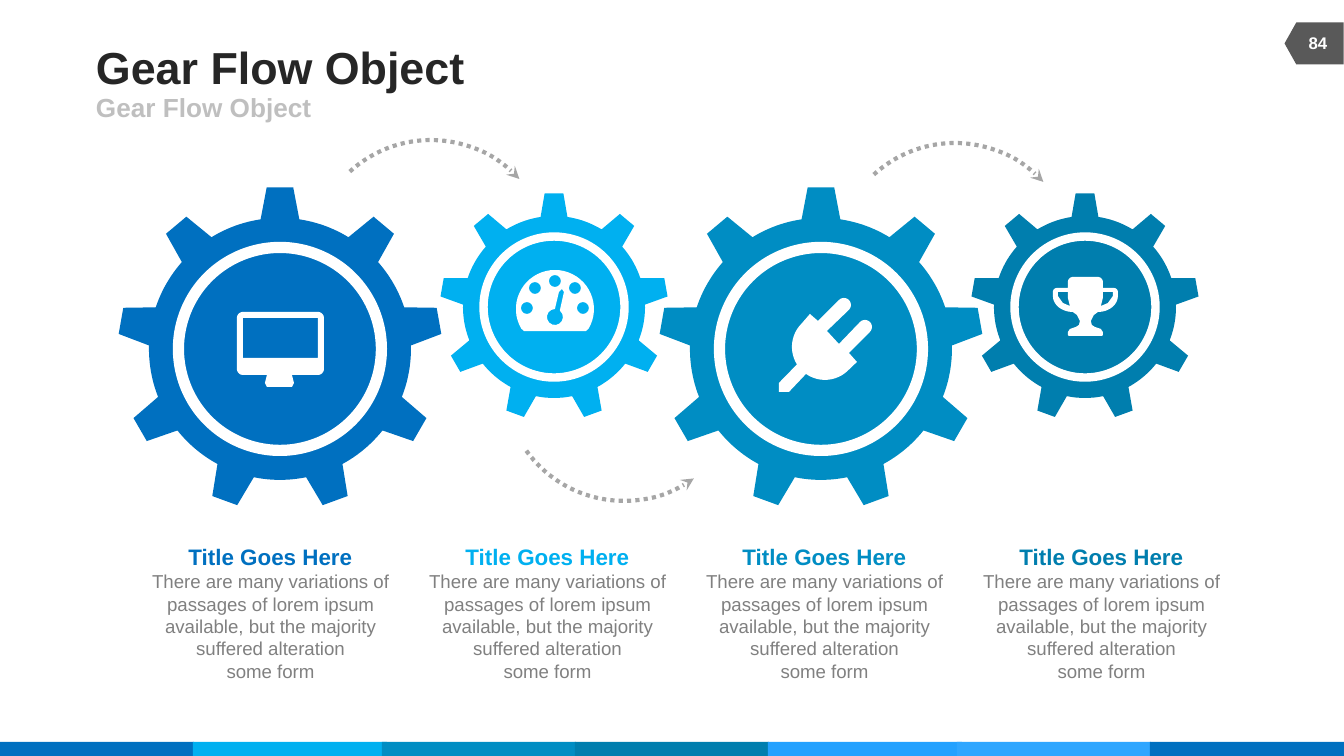
import math

from lxml import etree
from pptx import Presentation
from pptx import util as u
from pptx.dml import color as colors
from pptx.enum import dml, shapes, text
from pptx.oxml import ns

EMU_PER_PX = 914400 / 134.4
WHITE = "FFFFFF"
BLUES = ("0070C0", "00B0F0", "008DC3", "007EAE")
BAND_COLORS = BLUES + ("23A1FF", "2FA6FF", "0070C0")
BAND_LEFTS = (0, 193, 382, 575, 768, 957, 1150)
LARGE = {"tip": 162, "root": 131, "ring": 203, "weight": 6}
SMALL = {"tip": 114, "root": 91, "ring": 141, "weight": 4.5}
GEARS = ((280, 349, LARGE), (554, 307, SMALL), (821, 349, LARGE), (1085, 307, SMALL))
ARROWS = ((311, 140, 317.5, False), (835, 143, 317.5, False), (504, 261, 54.4, True))
BODY = (
    "There are many variations of passages of lorem ipsum available, "
    "but the majority suffered alteration",
    "some form",
)


def px(value):
    """Turn pixels into EMU."""
    return u.Emu(round(value * EMU_PER_PX))


def rgb(code):
    """Turn a hex string into a colour."""
    return colors.RGBColor.from_string(code)


def paint(shape, fill, line=None, weight=1):
    """Give a shape a plain fill and an optional outline."""
    shape.shadow.inherit = False
    shape.fill.solid()
    shape.fill.fore_color.rgb = rgb(fill)
    if line:
        shape.line.color.rgb = rgb(line)
        shape.line.width = u.Pt(weight)
    else:
        shape.line.fill.background()


def add_preset(parent, kind, left, top, width, height):
    """Add a preset shape placed in pixels."""
    return parent.shapes.add_shape(kind, px(left), px(top), px(width), px(height))


def add_outline(parent, contours, fill):
    """Add one filled freeform made of closed contours."""
    builder = None
    for contour in contours:
        points = [(px(x), px(y)) for x, y in contour]
        if builder is None:
            builder = parent.shapes.build_freeform(*points[0])
        else:
            builder.move_to(*points[0])
        builder.add_line_segments(points[1:], close=True)
    paint(builder.convert_to_shape(), fill)


def add_text(parent, left, top, width, height, lines, size, color, **formats):
    """Add a text box whose lines share one paragraph and one font."""
    box = parent.shapes.add_textbox(px(left), px(top), px(width), px(height))
    layout = {"word_wrap": True, "vertical_anchor": formats.get("anchor", text.MSO_ANCHOR.MIDDLE)}
    layout.update(dict.fromkeys(("margin_left", "margin_top", "margin_right", "margin_bottom"), 0))
    for name, value in layout.items():
        setattr(box.text_frame, name, value)
    para = box.text_frame.paragraphs[0]
    para.alignment = formats.get("align", text.PP_ALIGN.CENTER)
    font = {"name": "Arial", "size": u.Pt(size), "bold": formats.get("bold", True)}
    for index, line in enumerate(lines):
        if index:
            para.add_line_break()
        span = para.add_run()
        span.text = line
        for name, value in font.items():
            setattr(span.font, name, value)
        span.font.color.rgb = rgb(color)


def arc(x, y, radius, start, end, steps=12, tall=None):
    """List points along an elliptical arc, in clockwise degrees from the right."""
    angles = [math.radians(start + (end - start) * i / steps) for i in range(steps + 1)]
    return [(x + radius * math.cos(a), y + (tall or radius) * math.sin(a)) for a in angles]


def add_gear(page, x, y, form, color):
    """Add a nine-tooth gear with a white ring."""
    rim = []
    for tooth in range(9):
        angle = 40 * tooth - 90
        rim += arc(x, y, form["root"], angle - 31.5, angle - 8.5)
        rim += arc(x, y, form["tip"], angle - 4.7, angle + 4.7, 1)
    group = page.shapes.add_group_shape()
    add_outline(group, [rim], color)
    ring = form["ring"]
    disc = add_preset(group, shapes.MSO_SHAPE.OVAL, x - ring / 2, y - ring / 2, ring, ring)
    paint(disc, color, WHITE, form["weight"])


def add_arrow(page, left, top, rotation, flipped):
    """Add a dotted curved arrow."""
    curve = add_preset(page, shapes.MSO_SHAPE.ARC, left, top, 240, 240)
    paint(curve, WHITE, "A6A6A6", 2.25)
    curve.fill.background()
    curve.rotation = rotation
    curve.line.dash_style = dml.MSO_LINE.ROUND_DOT
    properties = curve.element.spPr
    etree.SubElement(properties.find(ns.qn("a:ln")), ns.qn("a:tailEnd"), type="stealth")
    if flipped:
        properties.find(ns.qn("a:xfrm")).set("flipV", "1")


def monitor():
    """Outline the monitor icon."""
    stand = [(292, 375), (294, 383), (292, 387), (267, 387), (265, 383), (267, 375)]
    case = arc(243, 318, 6, 180, 270) + arc(318, 318, 6, 270, 360)
    case += arc(318, 369, 6, 0, 90) + stand + arc(243, 369, 6, 90, 180)
    return [case, [(243, 318), (318, 318), (318, 358), (243, 358)]]


def gauge():
    """Outline the gauge icon."""
    dial = arc(555, 309, 39, 150, 390, 36) + [(586, 331), (524, 331)]
    needle = [(559, 292), (562, 289), (564, 292), (560, 310)] + arc(555, 317, 8, -50, 270)
    centers = ((527, 308), (535, 288), (555, 281), (575, 288), (583, 308))
    return [dial, needle] + [arc(x, y, 6, 0, 360) for x, y in centers]


def plug():
    """Outline the plug icon."""
    body = arc(825, 347, 33, 45, 125) + [(789, 392), (779, 392), (779, 383)]
    body += arc(825, 347, 33, 148, 225) + [(810, 314), (818, 321)]
    body += arc(844, 305, 7, 225, 405) + [(827, 331), (839, 344)]
    body += arc(865, 327, 7, 225, 405) + [(849, 353), (857, 362)]
    return [body]


def trophy():
    """Outline the trophy icon from its right half."""
    half = arc(1098, 282, 5, 270, 360) + [(1103, 288)] + arc(1114, 292, 4, 270, 360)
    half += arc(1098, 296, 20, 0, 90, tall=16)
    half += [(1094, 315), (1091, 321), (1092, 325), (1095, 327), (1101, 329), (1103, 332)]
    half += [(1103, 335), (1102, 336)]
    handle = [(1113, 292), (1103, 292), (1103, 298), (1101, 306), (1108, 303), (1113, 296)]
    mirrored, opposite = ([(2171 - x, y) for x, y in side] for side in (half, handle))
    return [half + mirrored[::-1], handle, opposite]


def add_column(page, left, color):
    """Add a centred heading with its description."""
    group = page.shapes.add_group_shape()
    add_text(group, left, 543, 243, 27, ["Title Goes Here"], 12, color)
    add_text(group, left, 570, 243, 113, BODY, 10, "808080",
             bold=False, anchor=text.MSO_ANCHOR.TOP)


def main():
    """Build the gear flow slide."""
    deck = Presentation()
    deck.slide_width, deck.slide_height = px(1344), px(756)
    page = deck.slides.add_slide(deck.slide_layouts[6])
    for left, color in zip(BAND_LEFTS, BAND_COLORS):
        paint(add_preset(page, shapes.MSO_SHAPE.RECTANGLE, left, 742, 194, 14), color)
    tag = add_preset(page, shapes.MSO_SHAPE.FLOWCHART_OFFPAGE_CONNECTOR, 1293, 14, 42, 59)
    paint(tag, "595959")
    tag.rotation = 90
    heading = ["Gear Flow Object"]
    add_text(page, 96, 40, 829, 53, heading, 24, "262626", align=text.PP_ALIGN.LEFT)
    add_text(page, 96, 92, 605, 30, heading, 14, "BFBFBF", align=text.PP_ALIGN.LEFT)
    add_text(page, 1290, 23, 56, 40, ["84"], 9, WHITE)
    for gear, color in zip(GEARS, BLUES):
        add_gear(page, *gear, color)
    for arrow in ARROWS:
        add_arrow(page, *arrow)
    for icon in (trophy, monitor, gauge, plug):
        add_outline(page, icon(), WHITE)
    for index, color in enumerate(BLUES):
        add_column(page, 149 + 277 * index, color)
    deck.save("out.pptx")


if __name__ == "__main__":
    main()
